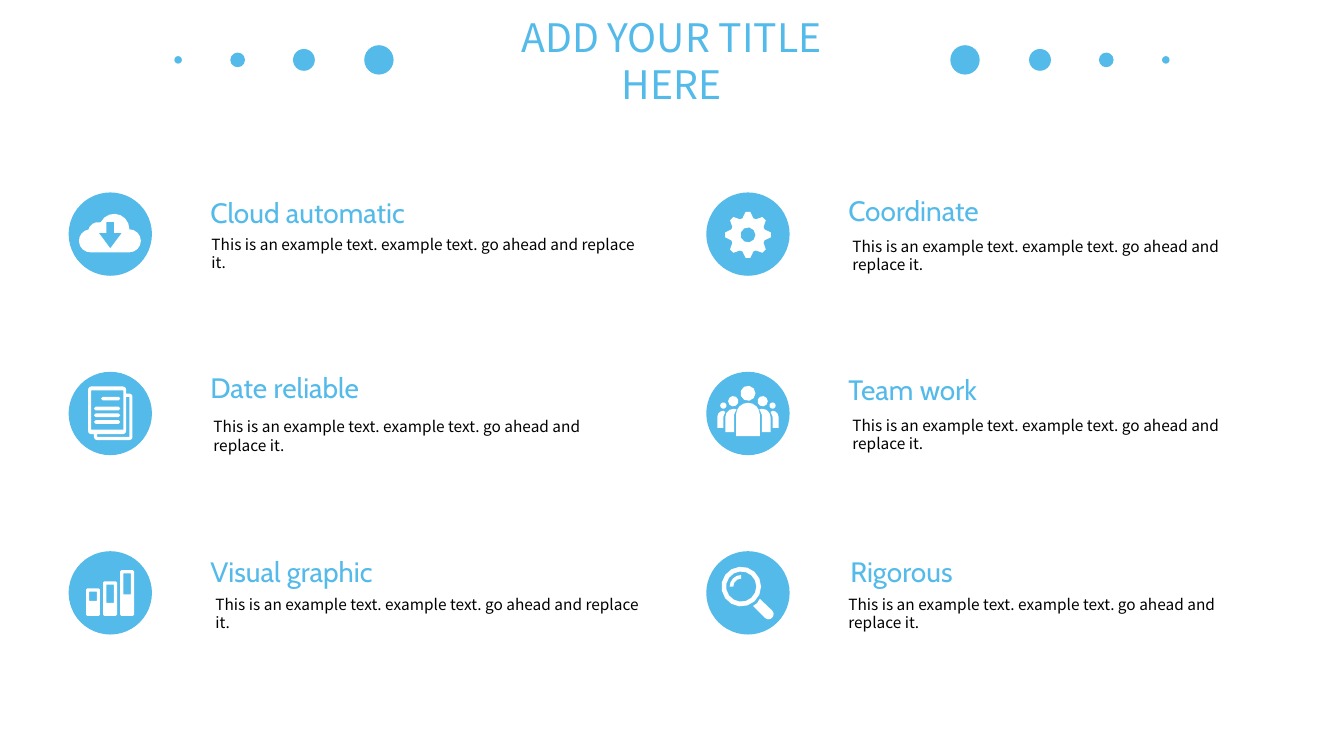
import math
from dataclasses import dataclass
from typing import Callable

import pptx
import pptx.dml.color
import pptx.enum.shapes
import pptx.enum.text
import pptx.util

Cm = pptx.util.Cm
Point = tuple[float, float]
Outline = list[Point]
Piece = list[Outline]

BLUE, WHITE, BLACK = "53BAE9", "FFFFFF", "000000"
SANS, CABIN = "Noto Sans CJK SC", "Cabin"
WIDTH, HEIGHT = 33.87, 19.05
NOTE = "This is an example text. example text. go ahead and replace it."


@dataclass
class Card:
    name: str
    icon: Callable[[], list[Piece]]
    col: int
    row: int
    head: Point
    body: Point
    width: float


@dataclass
class Dot:
    x: float
    size: float


def paint(target, color: str) -> None:
    """Colour a font or a fill."""
    rgb = pptx.dml.color.RGBColor.from_string(color)
    if hasattr(target, "solid"):
        target.solid()
        target.fore_color.rgb = rgb
    else:
        target.color.rgb = rgb


def finish(shape, color: str) -> None:
    """Give a shape a flat fill with no line and no shadow."""
    paint(shape.fill, color)
    shape.line.fill.background()
    shape.shadow.inherit = False


def disc(slide, x: float, y: float, size: float) -> None:
    """Draw a blue circle around its centre."""
    oval = pptx.enum.shapes.MSO_SHAPE.OVAL
    finish(slide.shapes.add_shape(
        oval, Cm(x - size / 2), Cm(y - size / 2), Cm(size), Cm(size)), BLUE)


def write(shape, text: str, size: int, font: str, color: str) -> None:
    frame = shape.text_frame
    frame.word_wrap = True
    frame.auto_size = pptx.enum.text.MSO_AUTO_SIZE.NONE
    frame.text = text
    run = frame.paragraphs[0].runs[0]
    run.font.size = pptx.util.Pt(size)
    run.font.name = font
    paint(run.font, color)


def label(slide, at: Point, width: float, height: float,
          text: str, size: int, font: str, color: str) -> None:
    area = slide.shapes.add_textbox(Cm(at[0]), Cm(at[1]), Cm(width), Cm(height))
    write(area, text, size, font, color)


def draw(slide, x: float, y: float, piece: Piece) -> None:
    """Draw one white freeform; inner outlines become holes."""
    lines = [[(Cm(x + dx), Cm(y + dy)) for dx, dy in line] for line in piece]
    form = slide.shapes.build_freeform(*lines[0][0])
    form.add_line_segments(lines[0][1:], close=True)
    for line in lines[1:]:
        form.move_to(*line[0])
        form.add_line_segments(line[1:], close=True)
    finish(form.convert_to_shape(), WHITE)


def arc(x: float, y: float, r: float, start: float, end: float) -> Outline:
    """Points along an arc, in degrees clockwise from the right."""
    pace = 24 if r > 0.21 else 40 if r > 0.04 else 90
    steps = math.ceil(abs(end - start) / pace)
    turns = [math.radians(start + (end - start) * i / steps)
             for i in range(steps + 1)]
    return [(x + r * math.cos(t), y + r * math.sin(t)) for t in turns]


def ring(x: float, y: float, r: float) -> Outline:
    return arc(x, y, r, 0, 360)[:-1]


def box(left: float, top: float, right: float, base: float,
        r: float = 0) -> Outline:
    """A rectangle with corners of radius r."""
    if not r:
        return [(left, top), (right, top), (right, base), (left, base)]
    return (arc(left + r, top + r, r, 180, 270)
            + arc(right - r, top + r, r, 270, 360)
            + arc(right - r, base - r, r, 0, 90)
            + arc(left + r, base - r, r, 90, 180))


def cloud() -> list[Piece]:
    edge = (arc(0.1, -0.13, 0.38, 360, 207) + arc(-0.31, -0.05, 0.25, 280, 190)
            + arc(-0.5, 0.17, 0.29, 260, 90) + arc(0.48, 0.17, 0.29, 90, -90))
    arrow = [(0, 0.36), (-0.29, -0.03), (-0.1, -0.03), (-0.1, -0.31),
             (0.1, -0.31), (0.1, -0.03), (0.29, -0.03)]
    return [[edge, arrow]]


def sheets() -> list[Piece]:
    front = [box(-0.56, -0.68, 0.4, 0.52, 0.08), box(-0.48, -0.58, 0.33, 0.41)]
    back = ([(0.4, -0.5)] + arc(0.48, -0.42, 0.08, 270, 360)
            + arc(0.48, 0.59, 0.08, 0, 90) + arc(-0.33, 0.59, 0.08, 90, 180)
            + [(-0.41, 0.52), (-0.33, 0.52), (-0.33, 0.59), (0.48, 0.59),
               (0.48, -0.42), (0.4, -0.42)])
    rows = [(-0.23, -0.42), (-0.41, -0.17), (-0.41, 0), (-0.41, 0.17)]
    return [front + [back]] + [[box(left, top, 0.25, top + 0.09, 0.04)]
                               for left, top in rows]


def bars() -> list[Piece]:
    pieces = []
    for i, (top, base) in enumerate([(-0.11, 0.2), (-0.29, 0.25), (-0.57, 0.04)]):
        left = -0.61 + 0.43 * i
        pieces.append([box(left, top, left + 0.35, 0.58, 0.03),
                       box(left + 0.08, top + 0.08, left + 0.27, base)])
    return pieces


def gear() -> list[Piece]:
    teeth = []
    for mid in range(0, 360, 45):
        for turn, r in [(-18, 0.44), (-6, 0.58), (6, 0.58), (18, 0.44)]:
            t = math.radians(mid + turn)
            teeth.append((r * math.cos(t), 0.02 + r * math.sin(t)))
    return [[teeth, ring(0, 0.02, 0.19)]]


def team() -> list[Piece]:
    inner = ([(0.57, 0.47), (0.35, 0.47), (0.35, 0.03), (0.29, -0.11)]
             + arc(0.36, 0.09, 0.21, 270, 360))
    outer = ([(0.77, 0.36), (0.62, 0.36), (0.62, 0.08), (0.57, -0.04)]
             + arc(0.62, 0.08, 0.15, 270, 360))
    side = [ring(0.37, -0.31, 0.13), ring(0.62, -0.2, 0.08), inner, outer]
    other = [[(-x, y) for x, y in line] for line in side]
    chest = arc(0, 0.03, 0.3, 180, 360) + [(0.3, 0.57), (-0.3, 0.57)]
    return [[ring(0, -0.51, 0.19), chest] + side + other]


def lens() -> list[Piece]:
    x, y = -0.17, -0.16
    grip = ([(0.3, 0.15), (0.23, 0.26), (0.13, 0.33)]
            + arc(0.52, 0.54, 0.13, 135, -45))
    glint = arc(x, y, 0.29, 180, 270) + arc(x, y, 0.2, 270, 180)
    return [[grip], [ring(x, y, 0.5), ring(x, y, 0.38)], [glint]]


DOTS = [Dot(4.49, 0.19), Dot(5.99, 0.37), Dot(7.66, 0.55), Dot(9.55, 0.74)]
CARDS = [
    Card("Cloud automatic", cloud, 0, 0, (5.05, 4.8), (5.08, 5.79), 11.35),
    Card("Date reliable", sheets, 0, 1, (5.05, 9.22), (5.13, 10.39), 10.97),
    Card("Visual graphic", bars, 0, 2, (5.05, 13.84), (5.18, 14.86), 11.28),
    Card("Coordinate", gear, 1, 0, (21.13, 4.75), (21.23, 5.84), 10.92),
    Card("Team work", team, 1, 1, (21.13, 9.25), (21.23, 10.36), 10.92),
    Card("Rigorous", lens, 1, 2, (21.18, 13.84), (21.13, 14.86), 10.92),
]


def main() -> None:
    deck = pptx.Presentation()
    deck.slide_width, deck.slide_height = Cm(WIDTH), Cm(HEIGHT)
    slide = deck.slides.add_slide(deck.slide_layouts[5])

    title = slide.shapes.title
    title.left, title.top = Cm(11.61), Cm(0.79)
    title.width, title.height = Cm(10.62), Cm(1.45)
    write(title, "ADD YOUR TITLE HERE", 28, SANS, BLUE)
    title.text_frame.vertical_anchor = pptx.enum.text.MSO_ANCHOR.MIDDLE
    title.text_frame.paragraphs[0].alignment = pptx.enum.text.PP_ALIGN.CENTER

    for dot in DOTS:
        for x in (dot.x, WIDTH - dot.x):
            disc(slide, x, 1.51, dot.size)

    for card in CARDS:
        x, y = 2.78 + 16.07 * card.col, 5.9 + 4.52 * card.row
        disc(slide, x, y, 2.1)
        for piece in card.icon():
            draw(slide, x, y, piece)
        label(slide, card.head, 6.02, 1.12, card.name, 20, CABIN, BLUE)
        label(slide, card.body, card.width, 1.19, NOTE, 11, SANS, BLACK)

    deck.save("out.pptx")


if __name__ == "__main__":
    main()
